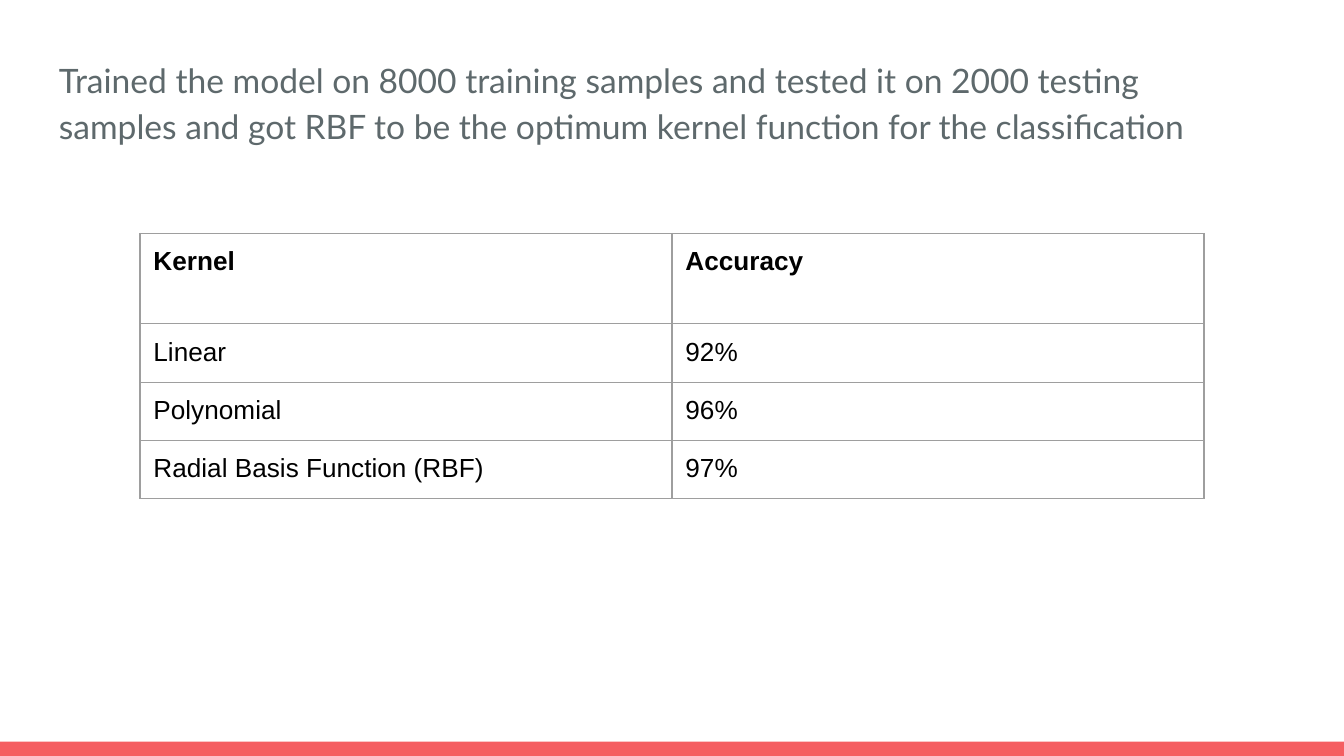
import pptx
import pptx.util
import pptx.dml.color
import pptx.enum.shapes
import pptx.enum.text
import pptx.oxml
import pptx.oxml.ns

Pt = pptx.util.Pt
RGBColor = pptx.dml.color.RGBColor

CORAL = RGBColor(0xF5, 0x5E, 0x61)
SLATE = RGBColor(0x5E, 0x69, 0x6C)
BLACK = RGBColor(0x00, 0x00, 0x00)
WHITE = RGBColor(0xFF, 0xFF, 0xFF)
GREY = RGBColor(0x9E, 0x9E, 0x9E)
INSET = Pt(7.2)


def write_text(frame, text, font="Arial", size=14, color=BLACK, bold=False, spacing=1.0):
    frame.word_wrap = True
    frame.margin_left = frame.margin_right = INSET
    frame.margin_top = frame.margin_bottom = INSET
    paragraph = frame.paragraphs[0]
    paragraph.line_spacing = spacing
    paragraph.alignment = pptx.enum.text.PP_ALIGN.LEFT
    run = paragraph.add_run()
    run.text = text
    run.font.name = font
    run.font.size = Pt(size)
    run.font.bold = bold
    run.font.color.rgb = color


def add_borders(cell, color, width):
    properties = cell._tc.get_or_add_tcPr()
    for side in ("lnL", "lnR", "lnT", "lnB"):
        properties.append(pptx.oxml.parse_xml(
            f'<a:{side} {pptx.oxml.ns.nsdecls("a")} w="{Pt(width)}">'
            f'<a:solidFill><a:srgbClr val="{color}"/></a:solidFill></a:{side}>'))


deck = pptx.Presentation()
deck.slide_width = Pt(720)
deck.slide_height = Pt(405)
slide = deck.slides.add_slide(deck.slide_layouts[6])
slide.background.fill.solid()
slide.background.fill.fore_color.rgb = WHITE

footer_bar = slide.shapes.add_shape(
    pptx.enum.shapes.MSO_SHAPE.RECTANGLE, Pt(0), Pt(397.4), Pt(720), Pt(7.6))
footer_bar.shadow.inherit = False
footer_bar.fill.solid()
footer_bar.fill.fore_color.rgb = CORAL
footer_bar.line.fill.background()

summary = slide.shapes.add_textbox(Pt(24.5), Pt(21.6), Pt(629.3), Pt(337.7))
write_text(
    summary.text_frame,
    "Trained the model on 8000 training samples and tested it on 2000 testing "
    "samples and got RBF to be the optimum kernel function for the classification",
    font="Lato", size=18, color=SLATE, spacing=1.15)

results = [
    ("Kernel", "Accuracy"),
    ("Linear", "92%"),
    ("Polynomial", "96%"),
    ("Radial Basis Function (RBF)", "97%"),
]
row_heights = [48.5, 30, 30, 30]
accuracy_table = slide.shapes.add_table(
    len(results), 2, Pt(75), Pt(125), Pt(570), Pt(sum(row_heights))).table
accuracy_table.first_row = False
accuracy_table.horz_banding = False
for column in accuracy_table.columns:
    column.width = Pt(285)

for row_index, (values, height) in enumerate(zip(results, row_heights)):
    accuracy_table.rows[row_index].height = Pt(height)
    for column_index, value in enumerate(values):
        cell = accuracy_table.cell(row_index, column_index)
        write_text(cell.text_frame, value, bold=row_index == 0)
        cell.margin_left = cell.margin_right = INSET
        cell.margin_top = cell.margin_bottom = INSET
        add_borders(cell, GREY, 0.75)
        cell.fill.background()

deck.save("out.pptx")
